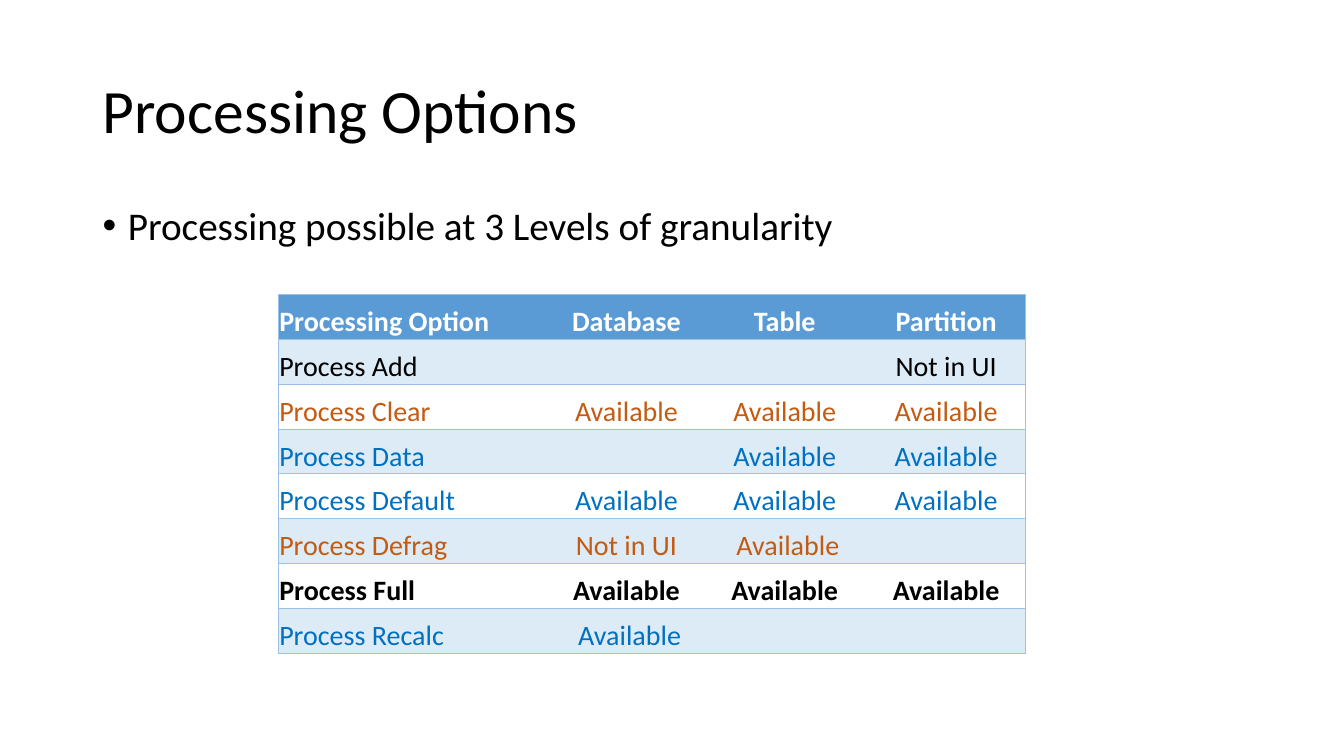
from dataclasses import dataclass

from lxml.etree import SubElement
from pptx import Presentation
from pptx.dml.color import RGBColor
from pptx.enum.text import MSO_ANCHOR as Anchor, PP_ALIGN as Align
from pptx.oxml.ns import qn
from pptx.slide import Slide
from pptx.table import _Cell as Cell
from pptx.text.text import _Paragraph as Paragraph
from pptx.util import Inches, Pt

BLACK = RGBColor(0x00, 0x00, 0x00)
WHITE = RGBColor(0xFF, 0xFF, 0xFF)
ORANGE = RGBColor(0xC5, 0x5A, 0x11)
BLUE = RGBColor(0x00, 0x70, 0xC0)
HEADER_FILL = RGBColor(0x5B, 0x9B, 0xD5)
BAND_FILL = RGBColor(0xDD, 0xEB, 0xF7)
RULE = RGBColor(0x9B, 0xC2, 0xE6)

FONT = "Calibri"
NO_GRID_STYLE = "{2D5ABB26-0587-4C30-8999-92F81FD0307C}"
COLUMN_WIDTHS = (2.7, 1.57, 1.57, 1.57)
ROW_HEIGHT = 0.445


@dataclass(frozen=True)
class OptionRow:
    texts: tuple[str, str, str, str]
    color: RGBColor
    bold: bool = False


OPTION_ROWS = (
    OptionRow(("Processing Option", "Database ", "Table ", "Partition"), WHITE, True),
    OptionRow(("Process Add", "", "", "Not in UI"), BLACK),
    OptionRow(("Process Clear", "Available ", "Available ", "Available"), ORANGE),
    OptionRow(("Process Data", "", "Available ", "Available"), BLUE),
    OptionRow(("Process Default", "Available ", "Available ", "Available"), BLUE),
    OptionRow(("Process Defrag", "Not in UI ", "Available", ""), ORANGE),
    OptionRow(("Process Full", "Available ", "Available ", "Available"), BLACK, True),
    OptionRow(("Process Recalc", "Available", "", ""), BLUE),
)


def style_font(paragraph: Paragraph, size: float, color: RGBColor, bold: bool = False) -> None:
    font = paragraph.font
    for run in paragraph.runs:
        font = run.font
    font.name = FONT
    font.size = Pt(size)
    font.bold = bold
    font.color.rgb = color


def add_text(slide: Slide, text: str, top: float, height: float, size: float,
             anchor: Anchor) -> Paragraph:
    frame = slide.shapes.add_textbox(
        Inches(0.92), Inches(top), Inches(11.5), Inches(height)).text_frame
    frame.word_wrap = True
    frame.vertical_anchor = anchor
    frame.text = text
    paragraph = frame.paragraphs[0]
    paragraph.line_spacing = 0.9
    style_font(paragraph, size, BLACK)
    return paragraph


def add_bullet(paragraph: Paragraph) -> None:
    properties = paragraph._p.get_or_add_pPr()
    properties.set("marL", str(Inches(0.25)))
    properties.set("indent", str(Inches(-0.25)))
    SubElement(properties, qn("a:buFont"), typeface="Arial")
    SubElement(properties, qn("a:buChar"), char="•")


def add_borders(cell: Cell, sides: str) -> None:
    properties = cell._tc.get_or_add_tcPr()
    for side in sides:
        line = SubElement(properties, qn(f"a:ln{side}"), w=str(Pt(0.5)))
        fill = SubElement(line, qn("a:solidFill"))
        SubElement(fill, qn("a:srgbClr"), val=str(RULE))


def fill_cell(cell: Cell, option: OptionRow, row: int, column: int) -> None:
    cell.margin_left = cell.margin_right = cell.margin_top = Inches(0.01)
    cell.margin_bottom = 0
    cell.vertical_anchor = Anchor.BOTTOM
    cell.text_frame.text = option.texts[column]
    paragraph = cell.text_frame.paragraphs[0]
    paragraph.alignment = Align.CENTER if column else Align.LEFT
    style_font(paragraph, 20, option.color, option.bold)

    outer_sides = {0: "LTB", len(COLUMN_WIDTHS) - 1: "RTB"}
    add_borders(cell, outer_sides.get(column, "TB"))
    if row and row % 2 == 0:
        cell.fill.background()
    else:
        cell.fill.solid()
        cell.fill.fore_color.rgb = BAND_FILL if row else HEADER_FILL


def add_options_table(slide: Slide) -> None:
    frame = slide.shapes.add_table(
        len(OPTION_ROWS), len(COLUMN_WIDTHS), Inches(2.76), Inches(2.92),
        Inches(sum(COLUMN_WIDTHS)), Inches(ROW_HEIGHT * len(OPTION_ROWS)))
    options = frame.table
    options.horz_banding = False
    options._tbl.tblPr.find(qn("a:tableStyleId")).text = NO_GRID_STYLE
    for column, width in zip(options.columns, COLUMN_WIDTHS):
        column.width = Inches(width)
    for row, option in enumerate(OPTION_ROWS):
        options.rows[row].height = Inches(ROW_HEIGHT)
        for column in range(len(COLUMN_WIDTHS)):
            fill_cell(options.cell(row, column), option, row, column)


def main() -> None:
    deck = Presentation()
    deck.slide_width = Inches(13.33)
    deck.slide_height = Inches(7.5)
    slide = deck.slides.add_slide(deck.slide_layouts[6])

    add_text(slide, "Processing Options", 0.4, 1.45, 44, Anchor.MIDDLE)
    granularity = add_text(
        slide, "Processing possible at 3 Levels of granularity", 2, 4.76, 28, Anchor.TOP)
    granularity.space_before = Pt(10)
    add_bullet(granularity)
    add_options_table(slide)

    deck.save("out.pptx")


if __name__ == "__main__":
    main()
